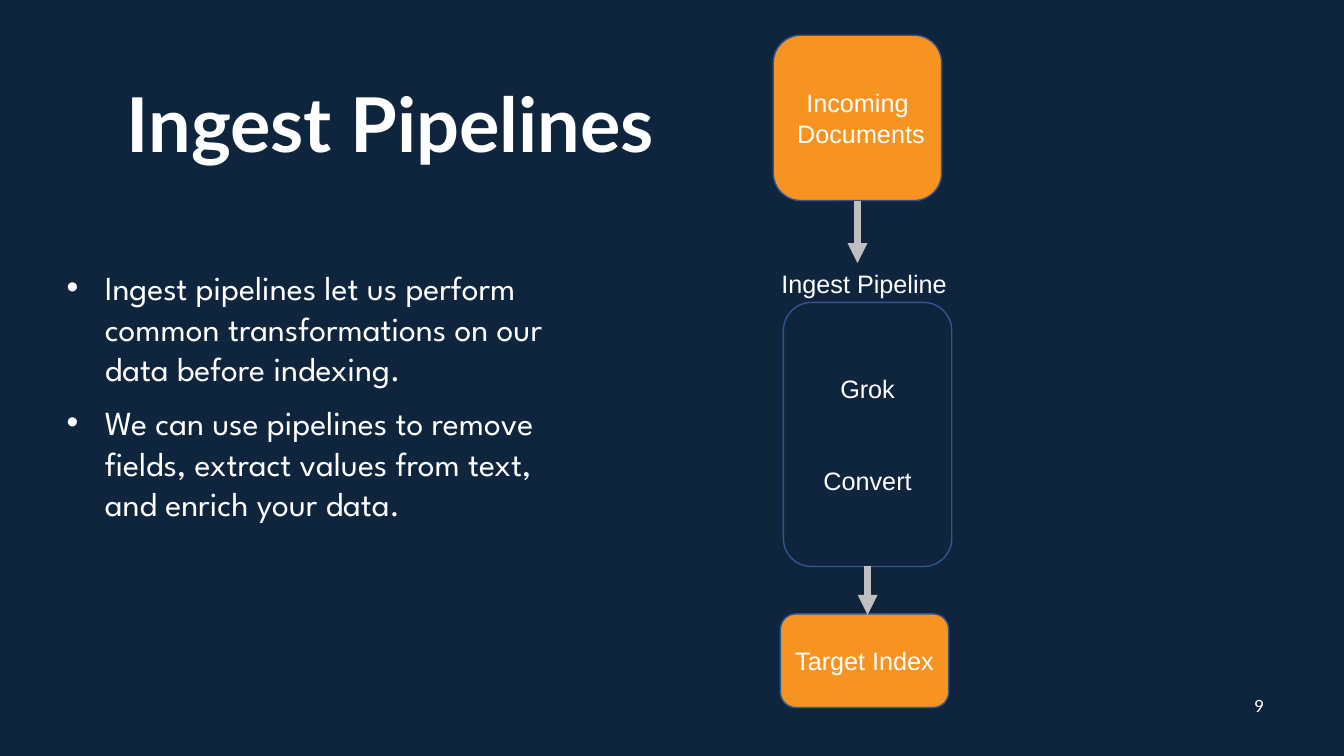
from lxml.etree import SubElement
from pptx import Presentation
from pptx.dml.color import RGBColor
from pptx.enum.shapes import MSO_CONNECTOR, MSO_SHAPE
from pptx.enum.text import MSO_ANCHOR, MSO_AUTO_SIZE, PP_ALIGN
from pptx.oxml.ns import qn
from pptx.util import Pt

PX = 9144  # EMU in one px, 100 px to the inch
NAVY = RGBColor(0x0F, 0x25, 0x3E)
ORANGE = RGBColor(0xF7, 0x93, 0x20)
BLUE = RGBColor(0x32, 0x54, 0x91)
GREY = RGBColor(0xBF, 0xBF, 0xBF)
WHITE = RGBColor(0xFF, 0xFF, 0xFF)
BOTTOM = 2


def px(*lengths):
    return [length * PX for length in lengths]


def move(shape, left, top, width, height):
    shape.left, shape.top, shape.width, shape.height = px(left, top, width, height)


def write(shape, lines, font, size, align=PP_ALIGN.CENTER, anchor=MSO_ANCHOR.MIDDLE,
          bold=False, spacing=1.0, gap=0):
    """Fill a shape with one paragraph per line, gap points between them."""
    frame = shape.text_frame
    frame.text = "\n".join(lines)
    frame.word_wrap = True
    frame.auto_size = MSO_AUTO_SIZE.NONE
    frame.vertical_anchor = anchor
    for index, para in enumerate(frame.paragraphs):
        para.alignment = align
        para.line_spacing = spacing
        para.space_before = Pt(gap if index else 0)
        para.font.name = font
        para.font.size = Pt(size)
        para.font.bold = bold
        para.font.color.rgb = WHITE


def add_bullets(body, lines):
    write(body, lines, "League Spartan", 24, PP_ALIGN.LEFT, MSO_ANCHOR.TOP, gap=10)
    for para in body.text_frame.paragraphs:
        para.space_before = Pt(10)
        properties = para._p.get_or_add_pPr()
        properties.set("marL", str(38 * PX))
        properties.set("indent", str(-38 * PX))
        SubElement(properties, qn("a:buChar")).set("char", "•")


def add_label(page, text, left, top, width, height, font, size):
    label = page.shapes.add_textbox(*px(left, top, width, height))
    write(label, [text], font, size)


def add_stage(page, lines, left, top, height, fill, gap=0):
    stage = page.shapes.add_shape(MSO_SHAPE.ROUNDED_RECTANGLE,
                                  *px(left, top, 167, height))
    stage.shadow.inherit = False
    stage.fill.solid()
    stage.fill.fore_color.rgb = fill
    stage.line.color.rgb = BLUE
    stage.line.width = Pt(1)
    write(stage, lines, "Arial", 18, gap=gap)
    stage.text_frame.word_wrap = False
    return stage


def add_down_arrow(page, stage, end):
    """Draw an arrow from the bottom of a stage straight down to end."""
    middle = stage.left + stage.width // 2
    arrow = page.shapes.add_connector(MSO_CONNECTOR.STRAIGHT, middle,
                                      stage.top + stage.height, middle, end * PX)
    arrow.begin_connect(stage, BOTTOM)
    arrow.line.color.rgb = GREY
    arrow.line.width = Pt(4.75)
    SubElement(arrow.line._get_or_add_ln(), qn("a:tailEnd")).set("type", "triangle")
    SubElement(arrow._element.spPr, qn("a:effectLst"))


def main():
    deck = Presentation()
    deck.slide_width, deck.slide_height = px(1333, 750)
    page = deck.slides.add_slide(deck.slide_layouts[1])
    page.background.fill.solid()
    page.background.fill.fore_color.rgb = NAVY

    title, body = page.placeholders
    move(title, 107, 54, 560, 145)
    write(title, ["Ingest Pipelines"], "Lato", 54, bold=True, spacing=0.9)
    move(body, 56, 260, 501, 375)
    add_bullets(body, [
        "Ingest pipelines let us perform common transformations on our data "
        "before indexing.",
        "We can use pipelines to remove fields, extract values from text, "
        "and enrich your data.",
    ])
    add_label(page, "9", 1224, 680, 50, 40, "Lato", 12)

    incoming = add_stage(page, ["Incoming", " Documents"], 767, 35, 164, ORANGE)
    pipeline = add_stage(page, ["Grok", "Convert"], 777, 300, 262, NAVY, gap=44)
    add_stage(page, ["Target Index"], 774, 609, 93, ORANGE)
    add_label(page, "Ingest Pipeline", 743, 261, 228, 40, "Arial", 18)
    add_down_arrow(page, incoming, 261)
    add_down_arrow(page, pipeline, 610)

    deck.save("out.pptx")


if __name__ == "__main__":
    main()
